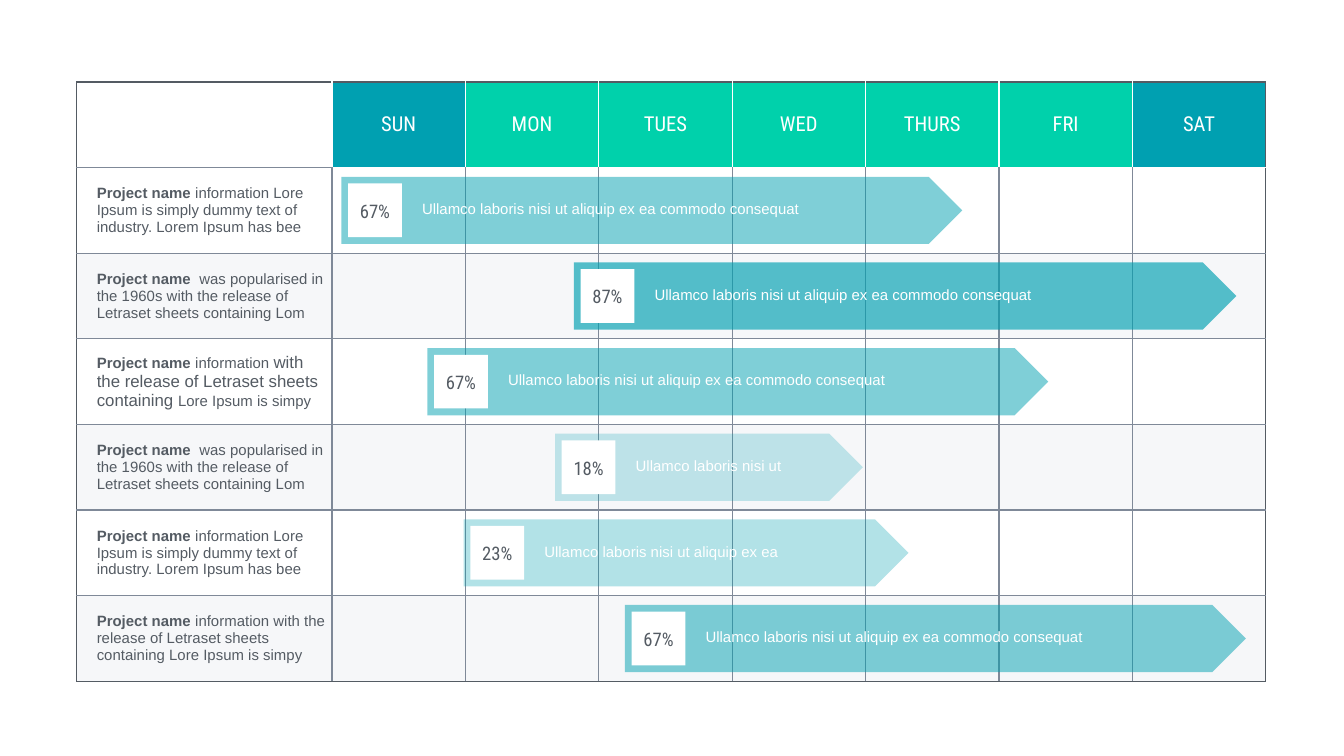
import pptx
import pptx.util
import pptx.dml.color
import pptx.enum.shapes
import pptx.enum.text
import pptx.oxml
import pptx.oxml.ns
from lxml import etree

Inches = pptx.util.Inches
Pt = pptx.util.Pt
ALIGN = pptx.enum.text.PP_ALIGN
MIDDLE = pptx.enum.text.MSO_ANCHOR.MIDDLE
SHAPE = pptx.enum.shapes.MSO_SHAPE

COLORS = {
    "teal": "00A0B1",
    "green": "00D1AB",
    "white": "FFFFFF",
    "text": "545B63",
    "grid": "7F8998",
    "band": "EEF0F4",
}
PLAIN_TABLE = "{2D5ABB26-0587-4C30-8999-92F81FD0307C}"
BODY, HEAD = "Arial", "Roboto Condensed"
LEFT, TOP, WIDTH, HEIGHT = 0.57, 0.61, 8.85, 4.46
LABEL_W = 1.9
DAYS = ["SUN", "MON", "TUES", "WED", "THURS", "FRI", "SAT"]

LOREM = [("information Lore Ipsum is simply dummy text of industry. Lorem Ipsum has bee", 8)]
POPULAR = [(" was popularised in the 1960s with the release of Letraset sheets containing Lom", 8)]
RELEASE = [
    ("information ", 8),
    ("with the release of Letraset sheets containing ", 9),
    ("Lore Ipsum is simpy", 8),
]
RELEASE_SMALL = [("information with the release of Letraset sheets containing Lore Ipsum is simpy", 8)]
SHORT = "Ullamco laboris nisi ut"
MEDIUM = SHORT + " aliquip ex ea"
LONG = MEDIUM + " commodo consequat"
CAPTION_W = {SHORT: 1.4, MEDIUM: 2.08, LONG: 3.11}

PROJECTS = [
    (LOREM, 2.54, 4.62, 50, "67%", LONG),
    (POPULAR, 4.27, 4.93, 66, "87%", LONG),
    (RELEASE, 3.18, 4.62, 50, "67%", LONG),
    (POPULAR, 4.13, 2.29, 23, "18%", SHORT),
    (LOREM, 3.45, 3.31, 30, "23%", MEDIUM),
    (RELEASE_SMALL, 4.65, 4.62, 50, "67%", LONG),
]
ROW_H = HEIGHT / (len(PROJECTS) + 1)


def paint(fill, color, alpha=100):
    """Give a fill a solid colour with an opacity in percent."""
    fill.solid()
    fill.fore_color.rgb = pptx.dml.color.RGBColor.from_string(COLORS[color])
    if alpha < 100:
        clr = fill._xPr.find(pptx.oxml.ns.qn("a:solidFill"))[0]
        etree.SubElement(clr, pptx.oxml.ns.qn("a:alpha"), val=str(alpha * 1000))


def add_run(p, text, size, font, color, bold=False):
    """Append a formatted run to a paragraph."""
    r = p.add_run()
    r.text = text
    r.font.size, r.font.name, r.font.bold = Pt(size), font, bold
    r.font.color.rgb = pptx.dml.color.RGBColor.from_string(COLORS[color])


def set_margins(target, left, top, right, bottom):
    """Set the inner margins of a cell or text frame in inches."""
    target.margin_left, target.margin_top = Inches(left), Inches(top)
    target.margin_right, target.margin_bottom = Inches(right), Inches(bottom)


def set_borders(cell, row, col):
    """Draw the four borders that belong to a cell's place in the grid."""
    inner = "white" if row == 0 else "grid"
    sides = {
        "lnL": "text" if col == 0 else inner,
        "lnR": "text" if col == len(DAYS) else inner,
        "lnT": "text" if row == 0 else "white" if row == 1 and col else "grid",
        "lnB": "text" if row == len(PROJECTS) else "white" if row == 0 and col else "grid",
    }
    tcPr = cell._tc.get_or_add_tcPr()
    for tag, color in sides.items():
        ln = etree.SubElement(tcPr, pptx.oxml.ns.qn("a:" + tag), w=str(Pt(0.75)))
        fill = etree.SubElement(ln, pptx.oxml.ns.qn("a:solidFill"))
        etree.SubElement(fill, pptx.oxml.ns.qn("a:srgbClr"), val=COLORS[color])


def add_schedule(slide, x, y, w, h):
    """Add the week table with project descriptions in its first column."""
    frame = slide.shapes.add_table(len(PROJECTS) + 1, len(DAYS) + 1,
                                   Inches(x), Inches(y), Inches(w), Inches(h))
    table = frame.table
    table.first_row = table.horz_banding = False
    table._tbl.tblPr.find(pptx.oxml.ns.qn("a:tableStyleId")).text = PLAIN_TABLE
    for col, column in enumerate(table.columns):
        column.width = Inches((w - LABEL_W) / len(DAYS) if col else LABEL_W)
    for row in range(len(table.rows)):
        for col in range(len(table.columns)):
            cell = table.cell(row, col)
            set_borders(cell, row, col)
            set_margins(cell, 0.04 if col or row == 0 else 0.15, 0.02, 0.04, 0.02)
            cell.vertical_anchor = MIDDLE
            if row == 0 and col:
                paint(cell.fill, "teal" if col in (1, len(DAYS)) else "green")
            elif row and row % 2 == 0:
                paint(cell.fill, "band", 50)
            else:
                cell.fill.background()
    for col, day in enumerate(DAYS, 1):
        p = table.cell(0, col).text_frame.paragraphs[0]
        p.alignment = ALIGN.CENTER
        add_run(p, day, 11, HEAD, "white")
    for row, project in enumerate(PROJECTS, 1):
        p = table.cell(row, 0).text_frame.paragraphs[0]
        add_run(p, "Project name ", 8, BODY, "text", True)
        for text, size in project[0]:
            add_run(p, text, size, BODY, "text")


def add_block(shapes, kind, x, y, w, h, color, alpha=100):
    """Add a filled shape without outline or shadow."""
    sp = shapes.add_shape(kind, Inches(x), Inches(y), Inches(w), Inches(h))
    sp.shadow.inherit = False
    sp.line.fill.background()
    paint(sp.fill, color, alpha)


def add_label(shapes, x, y, w, h, side, text, size, font, color, align):
    """Add a wrapped one-line text box with the given side margins."""
    tf = shapes.add_textbox(Inches(x), Inches(y), Inches(w), Inches(h)).text_frame
    tf.word_wrap = True
    set_margins(tf, side, 0.02, side, 0.02)
    tf.paragraphs[0].alignment = align
    add_run(tf.paragraphs[0], text, size, font, color)


def add_bar(slide, x, y, w, h, alpha, percent, caption):
    """Add a grouped task arrow with its percentage badge and caption."""
    shapes = slide.shapes.add_group_shape().shapes
    add_block(shapes, SHAPE.PENTAGON, x, y, w, h, "teal", alpha)
    add_label(shapes, x + 0.56, y + 0.15, CAPTION_W[caption], 0.18, 0.04,
              caption, 8, BODY, "white", ALIGN.LEFT)
    add_block(shapes, SHAPE.RECTANGLE, x + 0.05, y + 0.05, 0.4, 0.4, "white")
    add_label(shapes, x + 0.05, y + 0.15, 0.4, 0.2, 0.02,
              percent, 10, HEAD, "text", ALIGN.CENTER)


def main():
    """Build the weekly schedule slide."""
    prs = pptx.Presentation()
    prs.slide_width = Inches(10)
    prs.slide_height = prs.slide_width * 9 // 16
    slide = prs.slides.add_slide(prs.slide_layouts[6])
    add_schedule(slide, LEFT, TOP, WIDTH, HEIGHT)
    bar_h = 0.5
    for row, (_, x, w, alpha, percent, caption) in enumerate(PROJECTS, 1):
        y = TOP + row * ROW_H + (ROW_H - bar_h) / 2
        add_bar(slide, x, y, w, bar_h, alpha, percent, caption)
    prs.save("out.pptx")


if __name__ == "__main__":
    main()
